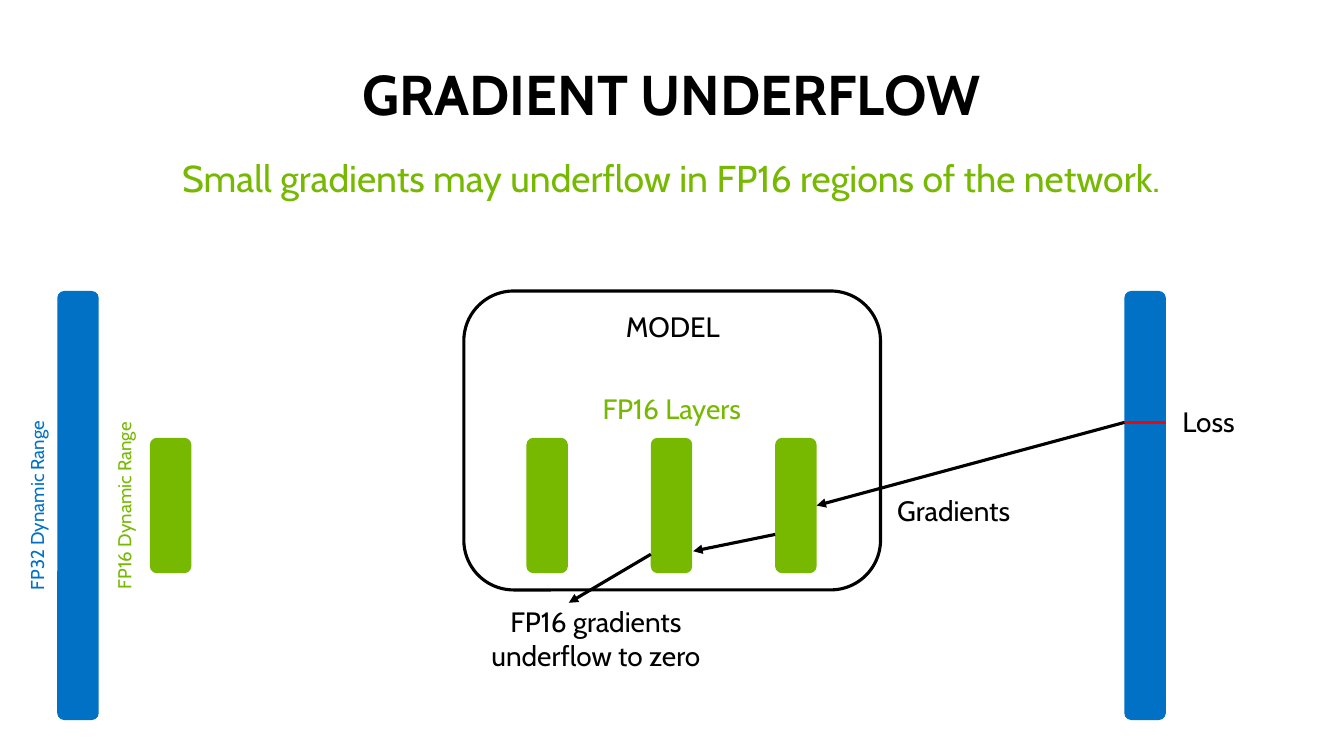
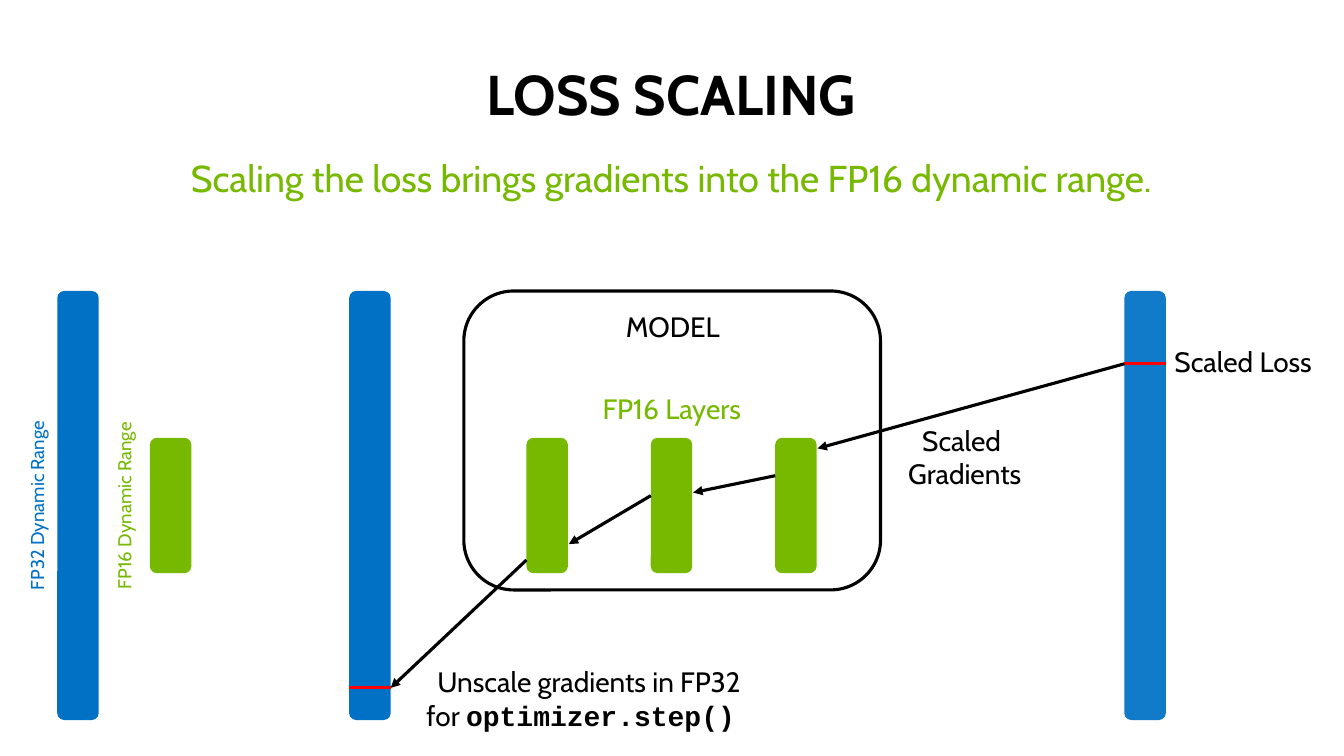
import dataclasses

import pptx
import pptx.dml.color
import pptx.enum.shapes
import pptx.enum.text
import pptx.oxml
import pptx.oxml.ns
import pptx.util
from pptx.util import Cm

SHAPE = pptx.enum.shapes.MSO_SHAPE
ANCHOR = pptx.enum.text.MSO_ANCHOR


@dataclasses.dataclass(frozen=True)
class Theme:
    black: str = "000000"
    green: str = "76B900"  # FP16
    blue: str = "0071C5"  # FP32
    red: str = "FF0000"  # loss marks
    font: str = "Cabin"
    code_font: str = "Courier New"
    title_size: int = 36
    subtitle_size: int = 24
    label_size: int = 18
    axis_size: int = 12
    line_width: int = 2


THEME = Theme()

# Shared geometry, in centimetres
BAR_WIDTH = 0.94
FP32_TOP, FP32_HEIGHT = 6.6, 9.73
FP16_TOP, FP16_HEIGHT = 9.93, 3.07
LOSS_BAR_LEFT = 25.5
UNSCALE_BAR_LEFT = 7.92
LAYER_LEFTS = [11.94 + 2.82 * index for index in range(3)]
TIP_GAP = 0.02  # between an arrow tip and the bar it points at


def rgb(value):
    return pptx.dml.color.RGBColor.from_string(value)


def add_xml(parent, tag, **attributes):
    element = pptx.oxml.parse_xml(f"<a:{tag} {pptx.oxml.ns.nsdecls('a')}/>")
    for name, value in attributes.items():
        element.set(name, value)
    parent.append(element)


class Deck:
    """Holds the theme and the current slide, and draws elements on it."""

    def __init__(self, theme):
        self.theme = theme
        self.presentation = pptx.Presentation()
        self.presentation.slide_width = Cm(30.48)
        self.presentation.slide_height = Cm(30.48) * 9 // 16
        self.slide = None

    def new_slide(self):
        layout = self.presentation.slide_layouts[6]
        self.slide = self.presentation.slides.add_slide(layout)

    def text(self, box, paragraphs, size, color, bold=False, anchor=ANCHOR.TOP,
             inset=0.25, spacing=None, vertical=False):
        """Each paragraph is a list of (text, is_code) runs."""
        shape = self.slide.shapes.add_textbox(*map(Cm, box))
        frame = shape.text_frame
        frame.word_wrap = True
        frame.vertical_anchor = anchor
        frame.margin_left = frame.margin_right = Cm(0.25)
        frame.margin_top = frame.margin_bottom = Cm(inset)
        if vertical:
            frame._txBody.bodyPr.set("vert", "vert270")
        for index, runs in enumerate(paragraphs):
            paragraph = frame.add_paragraph() if index else frame.paragraphs[0]
            paragraph.alignment = pptx.enum.text.PP_ALIGN.CENTER
            paragraph.line_spacing = spacing
            for words, is_code in runs:
                run = paragraph.add_run()
                run.text = words
                run.font.name = self.theme.code_font if is_code else self.theme.font
                run.font.size = pptx.util.Pt(size)
                run.font.bold = bold or is_code
                run.font.color.rgb = rgb(color)

    def heading(self, title, subtitle):
        theme = self.theme
        self.text((1.37, 1.37, 27.71, 1.65), [[(title, False)]], theme.title_size,
                  theme.black, bold=True, anchor=ANCHOR.BOTTOM, inset=0.13, spacing=0.9)
        self.text((2.59, 3.51, 25.27, 1.45), [[(subtitle, False)]],
                  theme.subtitle_size, theme.green, inset=0.13, spacing=0.9)

    def label(self, box, *lines, color=None):
        """A line is plain text or a list of runs."""
        paragraphs = [[(line, False)] if isinstance(line, str) else line for line in lines]
        self.text(box, paragraphs, self.theme.label_size, color or self.theme.black)

    def axis_label(self, box, words, color):
        self.text(box, [[(words, False)]], self.theme.axis_size, color, vertical=True)

    def rounded(self, box, fill=None, line=None, opacity=100):
        shape = self.slide.shapes.add_shape(SHAPE.ROUNDED_RECTANGLE, *map(Cm, box))
        shape.shadow.inherit = False
        if fill:
            shape.fill.solid()
            shape.fill.fore_color.rgb = rgb(fill)
            if opacity < 100:
                color = shape._element.spPr.find(".//" + pptx.oxml.ns.qn("a:srgbClr"))
                add_xml(color, "alpha", val=str(opacity * 1000))
        else:
            shape.fill.background()
        if line:
            shape.line.color.rgb = rgb(line)
            shape.line.width = pptx.util.Pt(self.theme.line_width)
        else:
            shape.line.fill.background()
        return shape

    def fp32_bar(self, left, opacity=100):
        return self.rounded((left, FP32_TOP, BAR_WIDTH, FP32_HEIGHT),
                            self.theme.blue, opacity=opacity)

    def fp16_bar(self, left):
        return self.rounded((left, FP16_TOP, BAR_WIDTH, FP16_HEIGHT), self.theme.green)

    def line(self, start, end, color, arrow=False):
        connector = self.slide.shapes.add_connector(
            pptx.enum.shapes.MSO_CONNECTOR.STRAIGHT, *map(Cm, (*start, *end)))
        connector.line.color.rgb = rgb(color)
        connector.line.width = pptx.util.Pt(self.theme.line_width)
        if arrow:
            add_xml(connector.line._get_or_add_ln(), "tailEnd", type="triangle")
        add_xml(connector._element.spPr, "effectLst")
        return connector

    def arrow(self, start, end):
        return self.line(start, end, self.theme.black, arrow=True)

    def mark(self, bar_left, y):
        self.line((bar_left, y), (bar_left + BAR_WIDTH, y), self.theme.red)

    def diagram(self, loss_opacity=100):
        """Dynamic ranges, model and loss bar; returns the layer bars."""
        theme = self.theme
        self.axis_label((2.31, 8.23, 3.71, 6.48), "FP16 Dynamic Range", theme.green)
        self.axis_label((0.33, 9.09, 1.04, 4.75), "FP32 Dynamic Range", theme.blue)
        self.fp32_bar(1.3)
        self.fp16_bar(3.4)
        self.rounded((10.52, FP32_TOP, 9.45, 6.78), line=theme.black)
        self.label((13.34, 6.78, 3.84, 1.17), "MODEL")
        self.label((12.9, 8.64, 4.67, 1.17), "FP16 Layers", color=theme.green)
        self.fp32_bar(LOSS_BAR_LEFT, loss_opacity)
        return [self.fp16_bar(left) for left in LAYER_LEFTS]

    def gradients(self, loss_y):
        """Arrows from the loss back through the layers, sinking below loss_y."""
        self.mark(LOSS_BAR_LEFT, loss_y)
        sources = [LOSS_BAR_LEFT, *LAYER_LEFTS[:0:-1]]
        targets = LAYER_LEFTS[::-1]
        drops = [(0, 1.92), (2.54, 2.92), (2.99, 4.09)]
        return [self.arrow((source, loss_y + begin),
                           (target + BAR_WIDTH + TIP_GAP, loss_y + end))
                for source, target, (begin, end) in zip(sources, targets, drops)]


def gradient_underflow(deck):
    deck.new_slide()
    deck.heading("GRADIENT UNDERFLOW",
                 "Small gradients may underflow in FP16 regions of the network.")
    layers = deck.diagram()
    arrows = deck.gradients(loss_y=9.58)
    arrows[0].end_connect(layers[-1], 3)
    deck.label((26.14, 8.92, 2.54, 1.7), "Loss")
    deck.label((19.71, 10.95, 3.84, 1.7), "Gradients")
    deck.label((10.44, 13.46, 6.15, 1.7), "FP16 gradients underflow to zero")


def loss_scaling(deck):
    deck.new_slide()
    deck.heading("LOSS SCALING",
                 "Scaling the loss brings gradients into the FP16 dynamic range.")
    deck.diagram(loss_opacity=93)
    deck.gradients(loss_y=8.25)
    deck.label((26.14, 7.57, 4.11, 1.7), "Scaled Loss")
    deck.label((19.05, 9.35, 5.66, 1.7), "Scaled ", "Gradients")

    # Unscaling back into FP32
    unscaled_y = 15.6
    deck.fp32_bar(UNSCALE_BAR_LEFT)
    deck.arrow((LAYER_LEFTS[0], 12.7), (UNSCALE_BAR_LEFT + BAR_WIDTH, unscaled_y))
    deck.mark(UNSCALE_BAR_LEFT, unscaled_y)
    deck.label((9.12, 14.83, 8.48, 1.7), "Unscale gradients in FP32",
               [("for ", False), ("optimizer.step() ", True)])


def main():
    deck = Deck(THEME)
    gradient_underflow(deck)
    loss_scaling(deck)
    deck.presentation.save("out.pptx")


if __name__ == "__main__":
    main()
